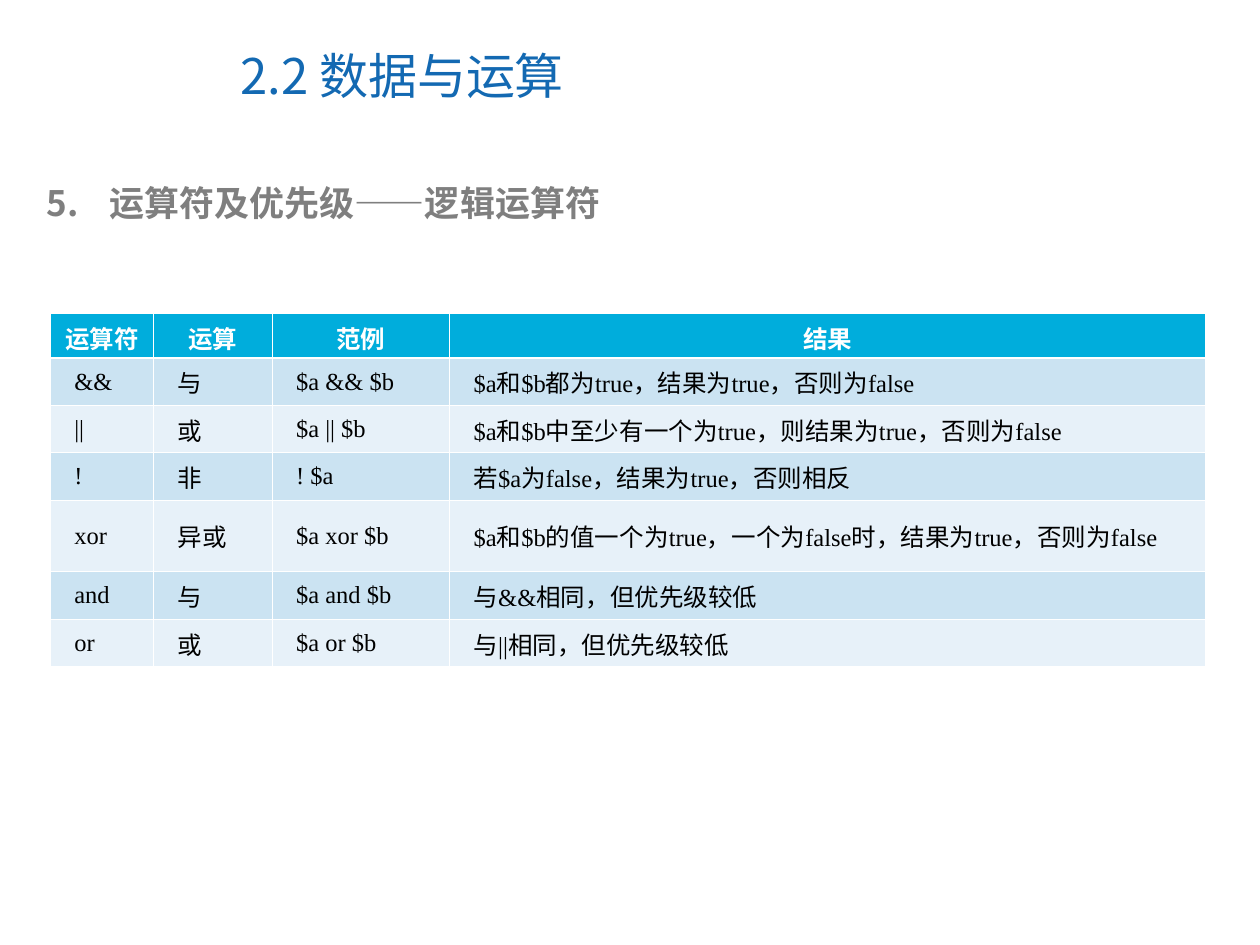
import pptx
import pptx.util
import pptx.dml.color
import pptx.enum.text
import pptx.oxml.ns
from lxml import etree

Inches, Pt = pptx.util.Inches, pptx.util.Pt
PP_ALIGN = pptx.enum.text.PP_ALIGN
MIDDLE = pptx.enum.text.MSO_ANCHOR.MIDDLE
qn = pptx.oxml.ns.qn

COLORS = {
    "title": "1369B2",
    "heading": "7F7F7F",
    "header": "00ADDC",
    "dark_band": "CBE3F2",
    "light_band": "E7F1F9",
    "white": "FFFFFF",
    "black": "000000",
}
SANS = "Noto Sans CJK SC"


def set_font(paragraph, size, color, name, bold=False):
    """Style a whole paragraph, with the sans face for Chinese characters."""
    font = paragraph.font
    font.size, font.bold, font.name = Pt(size), bold, name
    font.color.rgb = pptx.dml.color.RGBColor.from_string(COLORS[color])
    latin = font._element.find(qn("a:latin"))
    latin.addnext(latin.makeelement(qn("a:ea"), {"typeface": SANS}))


def set_borders(cell, widths):
    """Draw white lines on the left, right, top and bottom of a filled cell."""
    properties = cell._tc.get_or_add_tcPr()
    for place, (side, width) in enumerate(zip("LRTB", widths)):
        line = properties.makeelement(qn("a:ln" + side), {"w": str(Pt(width))})
        fill = etree.SubElement(line, qn("a:solidFill"))
        etree.SubElement(fill, qn("a:srgbClr"), val=COLORS["white"])
        properties.insert(place, line)


prs = pptx.Presentation()
prs.slide_width, prs.slide_height = Inches(10), Inches(7.5)
slide = prs.slides.add_slide(prs.slide_layouts[6])

# Title
title = slide.shapes.add_textbox(Inches(1.81), Inches(0.17), Inches(5.16), Inches(0.85)).text_frame
title.word_wrap = True
title.vertical_anchor = MIDDLE
title.text = "2.2 数据与运算"
set_font(title.paragraphs[0], 28, "title", SANS)

# Numbered heading
heading = slide.shapes.add_textbox(Inches(0.27), Inches(1.39), Inches(9.22), Inches(0.44)).text_frame
heading.word_wrap = True
heading.text = "运算符及优先级——逻辑运算符"
numbering = heading.paragraphs[0]._p.get_or_add_pPr()
numbering.set("marL", str(Inches(0.5)))
numbering.set("indent", str(-Inches(0.5)))
number_color = etree.SubElement(numbering, qn("a:buClr"))
etree.SubElement(number_color, qn("a:srgbClr"), val=COLORS["heading"])
etree.SubElement(numbering, qn("a:buAutoNum"), type="arabicPeriod", startAt="5")
set_font(heading.paragraphs[0], 20, "heading", SANS, bold=True)

# Table of logical operators
OPERATORS = [
    ("运算符", "运算", "范例", "结果"),
    ("&&", "与", "$a && $b", "$a和$b都为true，结果为true，否则为false"),
    ("||", "或", "$a || $b", "$a和$b中至少有一个为true，则结果为true，否则为false"),
    ("!", "非", "! $a", "若$a为false，结果为true，否则相反"),
    ("xor", "异或", "$a xor $b", "$a和$b的值一个为true，一个为false时，结果为true，否则为false"),
    ("and", "与", "$a and $b", "与&&相同，但优先级较低"),
    ("or", "或", "$a or $b", "与||相同，但优先级较低"),
]
COLUMN_WIDTHS = [0.82, 0.94, 1.41, 6]
ROW_HEIGHTS = [0.35, 0.38, 0.37, 0.38, 0.47, 0.38, 0.37]
THIN, THICK = 0.45, 1.47

operators = slide.shapes.add_table(
    len(OPERATORS), len(COLUMN_WIDTHS), Inches(0.4), Inches(2.49), Inches(9.16), Inches(2.69)
).table
for column, width in zip(operators.columns, COLUMN_WIDTHS):
    column.width = Inches(width)
for row, height in zip(operators.rows, ROW_HEIGHTS):
    row.height = Inches(height)

for r, texts in enumerate(OPERATORS):
    is_header = r == 0
    band = "header" if is_header else "dark_band" if r % 2 else "light_band"
    for c, text in enumerate(texts):
        cell = operators.cell(r, c)
        cell.text = text
        cell.vertical_anchor = MIDDLE
        cell.margin_left = cell.margin_right = Inches(0.07)
        cell.margin_top = cell.margin_bottom = Inches(0.05)
        cell.fill.solid()
        cell.fill.fore_color.rgb = pptx.dml.color.RGBColor.from_string(COLORS[band])
        set_borders(cell, (THIN, THIN, THICK if r == 1 else THIN, THICK if is_header else THIN))
        paragraph = cell.text_frame.paragraphs[0]
        if is_header:
            paragraph.alignment = PP_ALIGN.CENTER
            set_font(paragraph, 14, "white", "Arial", bold=True)
        else:
            paragraph.alignment = PP_ALIGN.JUSTIFY
            paragraph._p.get_or_add_pPr().set("marL", str(Inches(0.12)))
            set_font(paragraph, 14, "black", "Times New Roman")

prs.save("out.pptx")
